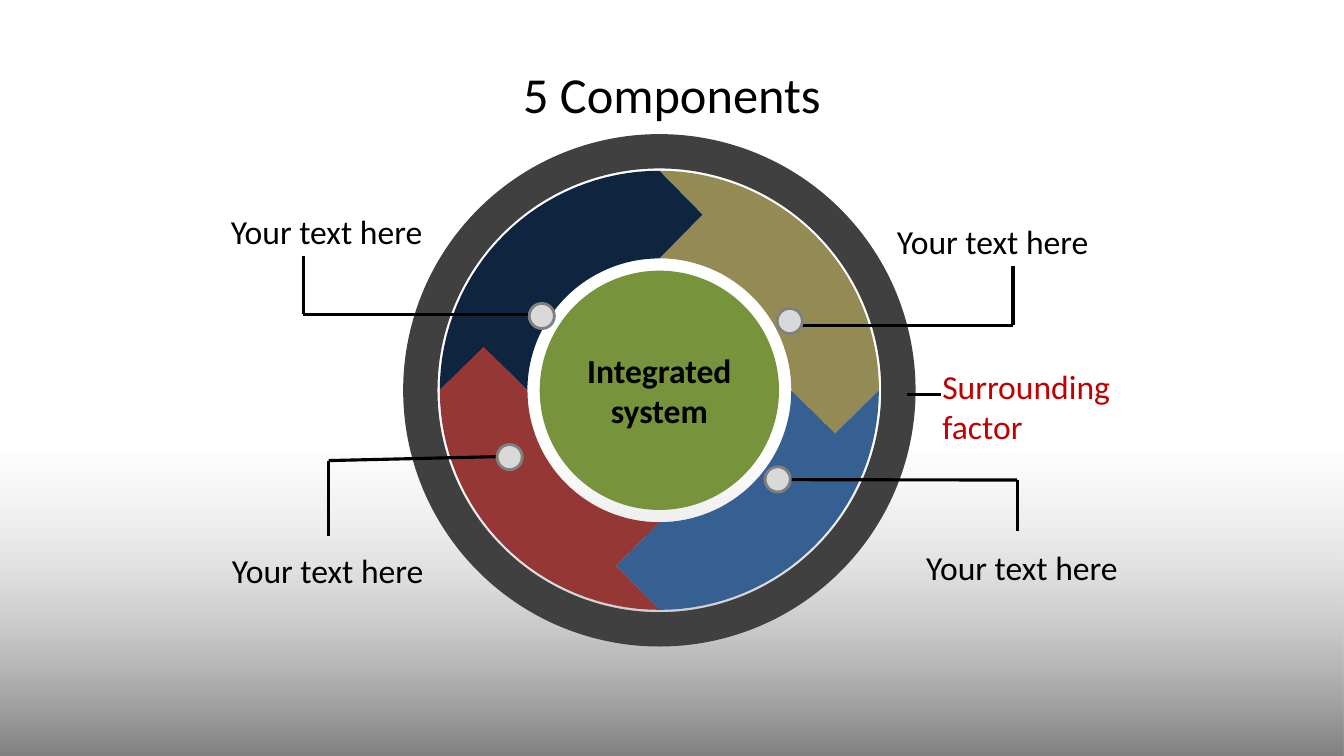
from math import cos, pi, sin

from lxml import etree
from pptx import Presentation
from pptx.dml.color import RGBColor
from pptx.enum.shapes import MSO_CONNECTOR, MSO_SHAPE
from pptx.enum.text import MSO_ANCHOR, PP_ALIGN
from pptx.oxml.ns import qn
from pptx.util import Pt

RECTANGLE, OVAL, DONUT = MSO_SHAPE.RECTANGLE, MSO_SHAPE.OVAL, MSO_SHAPE.DONUT
STRAIGHT = MSO_CONNECTOR.STRAIGHT
LEFT, CENTER, RIGHT = PP_ALIGN.LEFT, PP_ALIGN.CENTER, PP_ALIGN.RIGHT
TOP, MIDDLE = MSO_ANCHOR.TOP, MSO_ANCHOR.MIDDLE

BLACK = RGBColor(0x00, 0x00, 0x00)
GOLD = RGBColor(0x94, 0x8A, 0x54)
NAVY = RGBColor(0x0F, 0x24, 0x3E)
BLUE = RGBColor(0x37, 0x60, 0x92)
RED = RGBColor(0x95, 0x37, 0x35)
GREEN = RGBColor(0x77, 0x93, 0x3C)
DARK_GRAY = RGBColor(0x40, 0x40, 0x40)
MID_GRAY = RGBColor(0x80, 0x80, 0x80)
SILVER = RGBColor(0xBF, 0xBF, 0xBF)
LIGHT_GRAY = RGBColor(0xD9, 0xD9, 0xD9)
CRIMSON = RGBColor(0xC0, 0x00, 0x00)

SLIDE_W, SLIDE_H = 960, 540
LABEL_W, LABEL_H = 152.6, 36
DOT = 18
ARC_STEPS = 32

# Quarter turns clockwise from the top right, in stacking order
SEGMENTS = [(0, GOLD), (3, NAVY), (1, BLUE), (2, RED)]
# Offsets from the label box: stem start, elbow, line end, dot centre
CALLOUTS = [
    dict(left=633.6, top=154.1, align=LEFT, stem=(90, 36), elbow=(90, 78.4),
         end=(-66, 78.4), dot=(-69.5, 75.2)),
    dict(left=654.5, top=387.4, align=LEFT, stem=(72, -8), elbow=(72, -44.5),
         end=(-95.8, -44.8), dot=(-99, -45)),
    dict(left=156.2, top=146.9, align=RIGHT, stem=(60.4, 36), elbow=(60.4, 77.7),
         end=(227.5, 77.7), dot=(230.8, 78.8)),
    dict(left=157, top=389.5, align=RIGHT, stem=(77.7, -6.5), elbow=(77.7, -60.5),
         end=(198, -63.3), dot=(207, -63)),
]


def write(shape, text, size=24, color=BLACK, bold=False, align=LEFT, anchor=TOP, wrap=True):
    frame = shape.text_frame
    frame.word_wrap, frame.vertical_anchor = wrap, anchor
    paragraph = frame.paragraphs[0]
    paragraph.alignment = align
    run = paragraph.add_run()
    run.text = text
    run.font.color.rgb = color
    for name, value in dict(name="Calibri", size=Pt(size), bold=bold).items():
        setattr(run.font, name, value)


def text_box(slide, left, top, width, height, text, **style):
    box = slide.shapes.add_textbox(Pt(left), Pt(top), Pt(width), Pt(height))
    write(box, text, **style)


def paint(shape, color):
    shape.shadow.inherit = False
    shape.fill.solid()
    shape.fill.fore_color.rgb = color
    shape.line.fill.background()


def disc(slide, kind, center_x, center_y, radius, color):
    shape = slide.shapes.add_shape(kind, Pt(center_x - radius), Pt(center_y - radius),
                                   Pt(2 * radius), Pt(2 * radius))
    paint(shape, color)
    return shape


def leader(slide, start, end):
    line = slide.shapes.add_connector(STRAIGHT, *(Pt(v) for v in (*start, *end)))
    line.line.color.rgb = BLACK
    line.line.width = Pt(2.25)
    etree.SubElement(line._element.spPr, qn("a:effectLst"))


def floor_shade(slide, left, top, width, height):
    shade = slide.shapes.add_shape(RECTANGLE, Pt(left), Pt(top), Pt(width), Pt(height))
    shade.shadow.inherit = False
    shade.line.fill.background()
    shade.fill.gradient()
    shade.fill.gradient_angle = 270
    # Three stops: position, colour, opacity in percent
    stops = shade._element.spPr.find(qn("a:gradFill")).find(qn("a:gsLst"))
    for stop in list(stops):
        stops.remove(stop)
    for position, color, opacity in [(0, LIGHT_GRAY, 4), (46, SILVER, 60), (100, MID_GRAY, 100)]:
        stop = etree.SubElement(stops, qn("a:gs"), pos=str(position * 1000))
        tint = etree.SubElement(stop, qn("a:srgbClr"), val=str(color))
        etree.SubElement(tint, qn("a:alpha"), val=str(opacity * 1000))


def segment(slide, center_x, center_y, outer, inner, turn, color):
    start = (turn - 1) * pi / 2
    middle, head = (outer + inner) / 2, (outer - inner) / 2 * 0.985

    def arc(radius):
        angles = (start + pi / 2 * i / ARC_STEPS for i in range(ARC_STEPS + 1))
        return [(radius * cos(a), radius * sin(a)) for a in angles]

    def arrow_point(angle):
        return (middle * cos(angle) - head * sin(angle),
                middle * sin(angle) + head * cos(angle))

    outline = [*arc(outer), arrow_point(start + pi / 2), *reversed(arc(inner)), arrow_point(start)]
    points = [(Pt(center_x + x), Pt(center_y + y)) for x, y in outline]
    builder = slide.shapes.build_freeform(*points[0])
    builder.add_line_segments(points[1:], close=True)
    paint(builder.convert_to_shape(), color)


def wheel(slide, left, top, size):
    radius = size / 2
    center_x, center_y = left + radius, top + radius
    for turn, color in SEGMENTS:
        segment(slide, center_x, center_y, radius * 0.857, radius * 0.515, turn, color)
    rim = disc(slide, DONUT, center_x, center_y, radius, DARK_GRAY)
    rim.adjustments[0] = 0.067
    hub = disc(slide, OVAL, center_x, center_y, radius * 0.467, GREEN)
    write(hub, "Integrated system", bold=True, align=CENTER, anchor=MIDDLE)


def callout(slide, left, top, align, stem, elbow, end, dot):
    stem, elbow, end, dot = ((left + x, top + y) for x, y in (stem, elbow, end, dot))
    text_box(slide, left, top, LABEL_W, LABEL_H, "Your text here", align=align, wrap=False)
    leader(slide, stem, elbow)
    leader(slide, elbow, end)
    marker = disc(slide, OVAL, *dot, DOT / 2, LIGHT_GRAY)
    marker.line.color.rgb = MID_GRAY
    marker.line.width = Pt(2)


def surrounding_factor(slide, left, top, width, height):
    leader(slide, (left - 18, top + 24.3), (left + 6, top + 24.3))
    text_box(slide, left, top, width, height, "Surrounding factor", color=CRIMSON)


def main():
    deck = Presentation()
    deck.slide_width, deck.slide_height = Pt(SLIDE_W), Pt(SLIDE_H)
    slide = deck.slides.add_slide(deck.slide_layouts[6])

    # Backdrop and title
    floor_shade(slide, 0, 322.6, SLIDE_W, SLIDE_H - 322.6)
    text_box(slide, 48, 21.6, SLIDE_W - 96, 90, "5 Components",
             size=36, align=CENTER, anchor=MIDDLE)

    # Wheel with its labels
    wheel(slide, 288, 95.8, 366)
    for parts in CALLOUTS:
        callout(slide, **parts)
    surrounding_factor(slide, 666, 257.8, 144, 65.5)

    deck.save("out.pptx")


if __name__ == "__main__":
    main()
